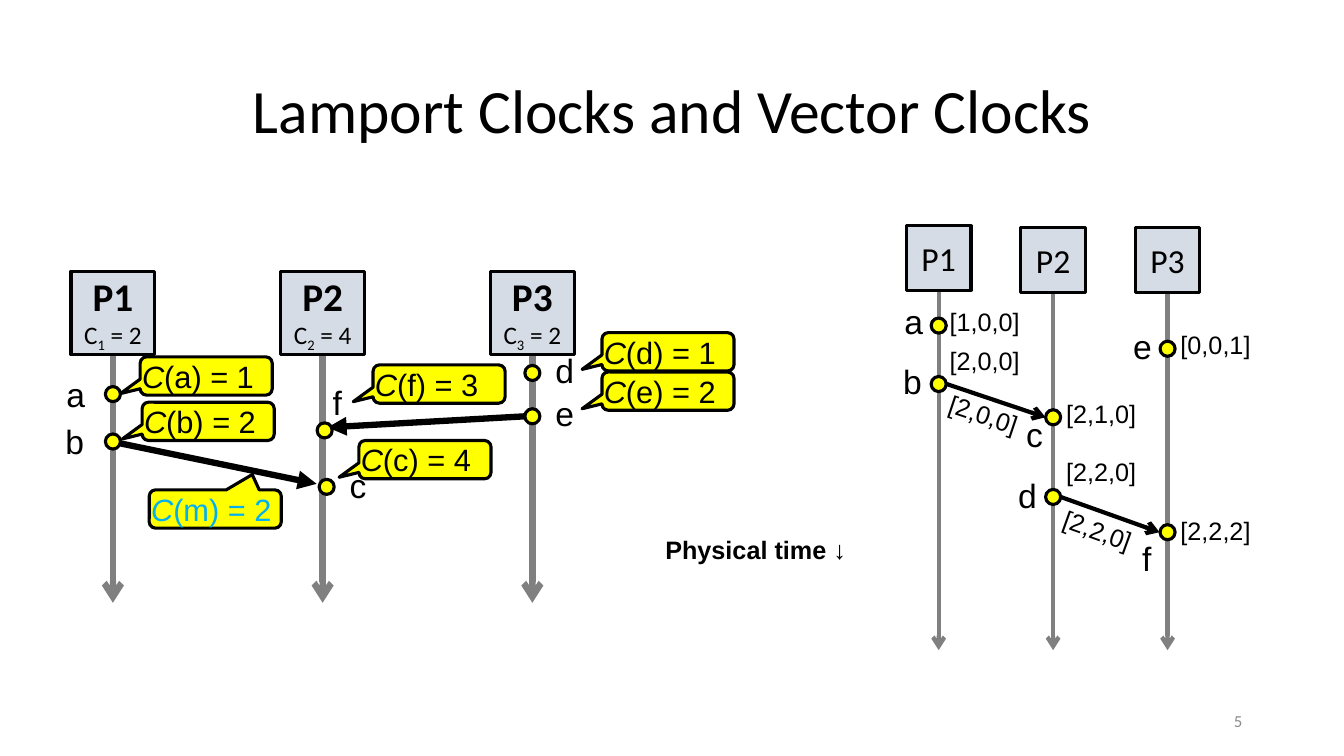
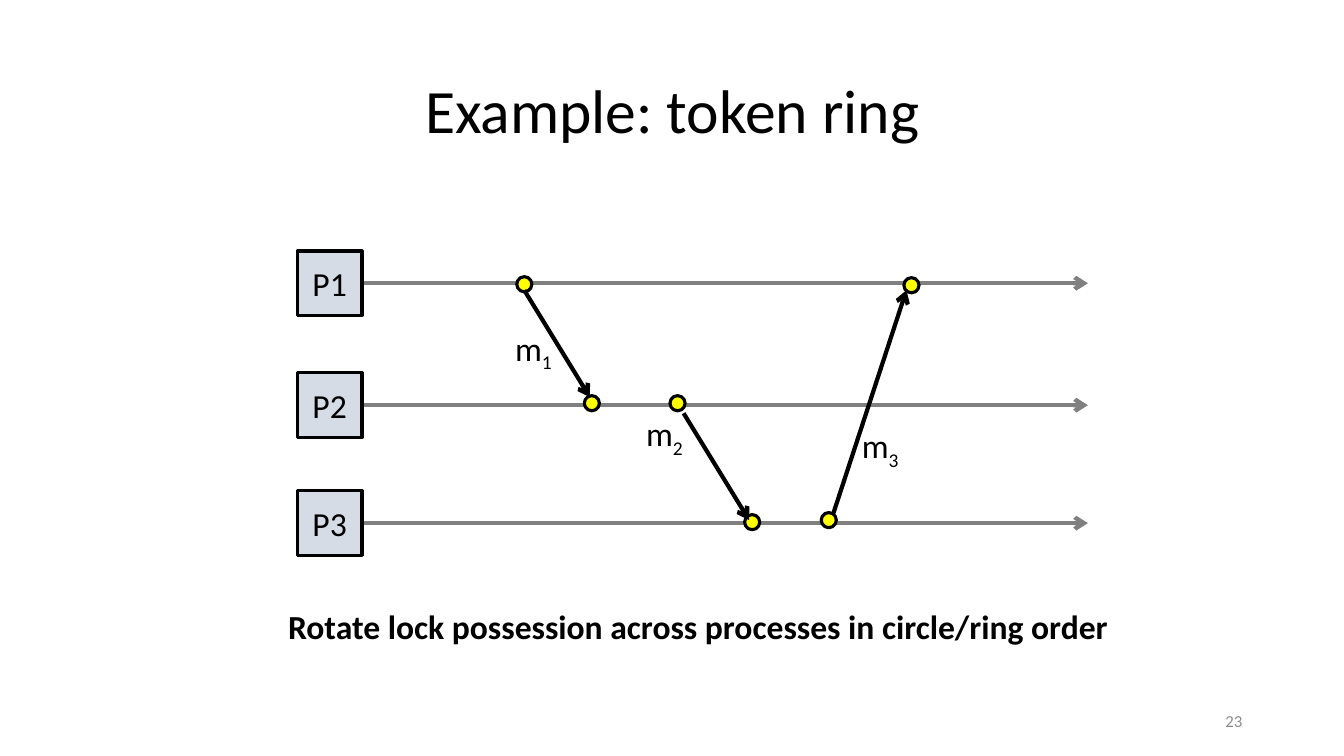
from dataclasses import dataclass

import pptx
import pptx.dml.color
import pptx.enum.shapes
import pptx.enum.text
import pptx.oxml
import pptx.oxml.ns
import pptx.util

Inches = pptx.util.Inches
Pt = pptx.util.Pt
SHAPE = pptx.enum.shapes.MSO_SHAPE
ALIGN = pptx.enum.text.PP_ALIGN
ANCHOR = pptx.enum.text.MSO_ANCHOR


@dataclass(frozen=True)
class Theme:
    heading_font: str = "Calibri"
    diagram_font: str = "Arial"
    ink: str = "000000"
    time_axis: str = "808080"
    process_fill: str = "D6DCE5"
    event_fill: str = "FFFF00"
    message_clock: str = "00B0F0"
    page_number: str = "8C8C8C"
    title_size: int = 44
    process_size: int = 28
    label_size: int = 24
    callout_size: int = 22
    small_size: int = 18
    page_size: int = 12
    outline: float = 2.25
    thin: float = 3
    thick: float = 4.5


THEME = Theme()
DOT = 0.15


def rgb(code):
    return pptx.dml.color.RGBColor.from_string(code)


def write(paragraph, parts, size, font=THEME.heading_font, color=THEME.ink,
          bold=False, align=ALIGN.LEFT):
    """Fill a paragraph; parts is text, or (text, style) pairs with style '', 'sub' or 'italic'."""
    paragraph.alignment = align
    for text, style in [(parts, "")] if isinstance(parts, str) else parts:
        run = paragraph.add_run()
        run.text = text
        run.font.name = font
        run.font.size = Pt(size)
        run.font.bold = bold
        run.font.italic = style == "italic"
        run.font.color.rgb = rgb(color)
        if style == "sub":
            run.font._element.get_or_add_rPr().set("baseline", "-25000") \
                if hasattr(run.font._element, "get_or_add_rPr") \
                else run._r.get_or_add_rPr().set("baseline", "-25000")


def add_text(slide, box, parts, size, wrap=False, anchor=ANCHOR.TOP, rotation=0, **style):
    text_box = slide.shapes.add_textbox(*map(Inches, box))
    text_box.rotation = rotation
    frame = text_box.text_frame
    frame.word_wrap = wrap
    frame.vertical_anchor = anchor
    if not wrap:
        frame.auto_size = pptx.enum.text.MSO_AUTO_SIZE.SHAPE_TO_FIT_TEXT
    write(frame.paragraphs[0], parts, size, **style)
    return text_box


def add_outlined(slide, preset, box, fill):
    shape = slide.shapes.add_shape(preset, *map(Inches, box))
    shape.shadow.inherit = False
    shape.fill.solid()
    shape.fill.fore_color.rgb = rgb(fill)
    shape.line.color.rgb = rgb(THEME.ink)
    shape.line.width = Pt(THEME.outline)
    return shape


def add_arrow(slide, start, end, width, color=THEME.ink, head="arrow"):
    arrow = slide.shapes.add_connector(
        pptx.enum.shapes.MSO_CONNECTOR.STRAIGHT, *map(Inches, (*start, *end)))
    arrow.line.color.rgb = rgb(color)
    arrow.line.width = Pt(width)
    tail = pptx.oxml.parse_xml(
        f'<a:tailEnd {pptx.oxml.ns.nsdecls("a")} type="{head}"/>')
    arrow.line._get_or_add_ln().append(tail)
    arrow._element.spPr.append(
        pptx.oxml.parse_xml(f'<a:effectLst {pptx.oxml.ns.nsdecls("a")}/>'))


def add_process(slide, left, top, side, name, clock=None):
    """Draw a process box, with its clock reading (index, value) below the name if given."""
    box = add_outlined(slide, SHAPE.FLOWCHART_PROCESS, (left, top, side, side),
                       THEME.process_fill)
    frame = box.text_frame
    frame.vertical_anchor = ANCHOR.MIDDLE
    size = THEME.process_size if clock else THEME.label_size
    write(frame.paragraphs[0], name, size, bold=bool(clock), align=ALIGN.CENTER)
    if clock:
        index, value = clock
        write(frame.add_paragraph(), [("C", ""), (str(index), "sub"), (f" = {value}", "")],
              THEME.small_size, align=ALIGN.CENTER)


def add_event(slide, x, y):
    """Draw an event dot centred on x, y."""
    add_outlined(slide, SHAPE.OVAL, (x - DOT / 2, y - DOT / 2, DOT, DOT), THEME.event_fill)


def add_label(slide, left, top, letter):
    add_text(slide, (left, top, 0.39, 0.5), letter, THEME.label_size, font=THEME.diagram_font)


def add_stamp(slide, left, top, vector, rotation=0):
    size = (0.9, 0.4) if rotation else (0.98, 0.44)
    add_text(slide, (left, top, *size), vector, THEME.small_size,
             rotation=rotation, font=THEME.diagram_font)


def add_callout(slide, left, top, event, value, pointer=(-0.65, 0.46), color=THEME.ink):
    callout = add_outlined(slide, SHAPE.ROUNDED_RECTANGULAR_CALLOUT,
                           (left, top, 1.31, 0.38), THEME.event_fill)
    callout.adjustments[0], callout.adjustments[1] = pointer
    frame = callout.text_frame
    frame.margin_left = frame.margin_right = frame.margin_top = frame.margin_bottom = 0
    frame.vertical_anchor = ANCHOR.MIDDLE
    write(frame.paragraphs[0], [("C", "italic"), (f"({event}) = {value}", "")],
          THEME.callout_size, font=THEME.diagram_font, color=color)


def add_slide(deck, title, number):
    slide = deck.slides.add_slide(deck.slide_layouts[6])
    heading = add_text(slide, (0.92, 0.4, 11.5, 1.45), title, THEME.title_size, wrap=True,
                       anchor=ANCHOR.MIDDLE, align=ALIGN.CENTER)
    heading.text_frame.paragraphs[0].line_spacing = 0.9
    add_text(slide, (9.42, 6.95, 3, 0.4), str(number), THEME.page_size, wrap=True,
             anchor=ANCHOR.MIDDLE, align=ALIGN.RIGHT, color=THEME.page_number)
    return slide


def draw_lamport_clocks(slide):
    side, top = 0.83, 2.69
    p1, p2, p3 = columns = [1.12 + 2.08 * i for i in range(3)]
    for index, (x, clock) in enumerate(zip(columns, (2, 4, 2)), 1):
        add_arrow(slide, (x, top + side), (x, 5.98), THEME.thick, THEME.time_axis)
        add_process(slide, x - side / 2, top, side, f"P{index}", (index, clock))

    add_arrow(slide, (1.2, 4.4), (3.14, 4.8), THEME.thick, head="triangle")
    add_arrow(slide, (5.21, 4.13), (3.25, 4.24), THEME.thick, head="triangle")
    for x, y, letter, left, label_top in (
            (p1, 3.91, "a", 0.56, 3.66), (p1, 4.38, "b", 0.55, 4.13),
            (p2 + 0.04, 4.83, "c", 3.37, 4.56), (p3, 3.7, "d", 5.41, 3.42),
            (p3, 4.13, "e", 5.41, 3.85), (p2 + 0.02, 4.27, "f", 3.2, 3.74)):
        add_event(slide, x, y)
        add_label(slide, left, label_top, letter)
    for left, callout_top, event, value in (
            (1.39, 3.54, "a", 1), (1.41, 3.99, "b", 2), (3.56, 4.37, "c", 4),
            (5.97, 3.3, "d", 1), (5.97, 3.69, "e", 2), (3.7, 3.62, "f", 3)):
        add_callout(slide, left, callout_top, event, value)
    add_callout(slide, 1.48, 4.86, "m", 2, (0.28, -0.9), THEME.message_clock)


def draw_vector_clocks(slide):
    side = 0.64
    p1, p2, p3 = columns = [9.31 + 1.135 * i for i in range(3)]
    for index, (x, top) in enumerate(zip(columns, (2.24, 2.26, 2.26)), 1):
        add_arrow(slide, (x, top + side), (x, 6.45), THEME.thin, THEME.time_axis)
        add_process(slide, x - side / 2, top, side, f"P{index}")

    for x, y, letter, left, label_top, stamp_top, vector in (
            (p1, 3.23, "a", 8.87, 2.94, 2.99, "[1,0,0]"),
            (p1, 3.81, "b", 8.86, 3.53, 3.38, "[2,0,0]"),
            (p2, 4.14, "c", 10.08, 4.06, 3.9, "[2,1,0]"),
            (p2, 4.93, "d", 10, 4.66, 4.48, "[2,2,0]"),
            (p3, 3.46, "e", 11.14, 3.18, 3.22, "[0,0,1]"),
            (p3, 5.28, "f", 11.23, 5.29, 5.06, "[2,2,2]")):
        add_event(slide, x, y)
        add_label(slide, left, label_top, letter)
        add_stamp(slide, x + (0.01 if x == p1 else 0.03), stamp_top, vector)
    for start, end, stamp_at, vector, slope in (
            ((9.39, 3.81), (10.37, 4.14), (9.31, 3.91), "[2,0,0]", 18.5),
            ((10.52, 4.93), (11.5, 5.28), (10.44, 5.06), "[2,2,0]", 19.8)):
        add_arrow(slide, start, end, THEME.thin)
        add_stamp(slide, *stamp_at, vector, slope)


def draw_token_ring(slide):
    side, left = 0.64, 2.95
    for index, y in enumerate((2.81, 4.02, 5.19), 1):
        add_arrow(slide, (left + side, y), (10.79, y), THEME.thin, THEME.time_axis)
        add_process(slide, left, y - side / 2, side, f"P{index}")

    for event in ((5.2, 2.82), (5.87, 4), (6.72, 4), (7.46, 5.18), (8.22, 5.16), (9.04, 2.83)):
        add_event(slide, *event)
    messages = (((5.2, 2.88), (5.85, 3.94), (5.01, 3.2)),
                ((6.78, 4.1), (7.43, 5.16), (6.31, 4.05)),
                ((8.26, 5.11), (8.99, 2.88), (8.45, 4.17)))
    for index, (start, end, label_at) in enumerate(messages, 1):
        add_arrow(slide, start, end, THEME.thin)
        add_text(slide, (*label_at, 0.63, 0.5), [("m", ""), (str(index), "sub")],
                 THEME.label_size)


def main():
    deck = pptx.Presentation()
    deck.slide_width, deck.slide_height = Inches(13.33), Inches(7.5)

    clocks = add_slide(deck, "Lamport Clocks and Vector Clocks", 5)
    draw_lamport_clocks(clocks)
    draw_vector_clocks(clocks)
    add_text(clocks, (6.5, 5.25, 2.01, 0.4), "Physical time ↓", THEME.small_size,
             font=THEME.diagram_font, bold=True)

    ring = add_slide(deck, "Example: token ring", 23)
    draw_token_ring(ring)
    add_text(ring, (2.76, 5.96, 8.4, 0.5),
             "Rotate lock possession across processes in circle/ring order",
             THEME.label_size, wrap=True, bold=True)

    deck.save("out.pptx")


if __name__ == "__main__":
    main()
